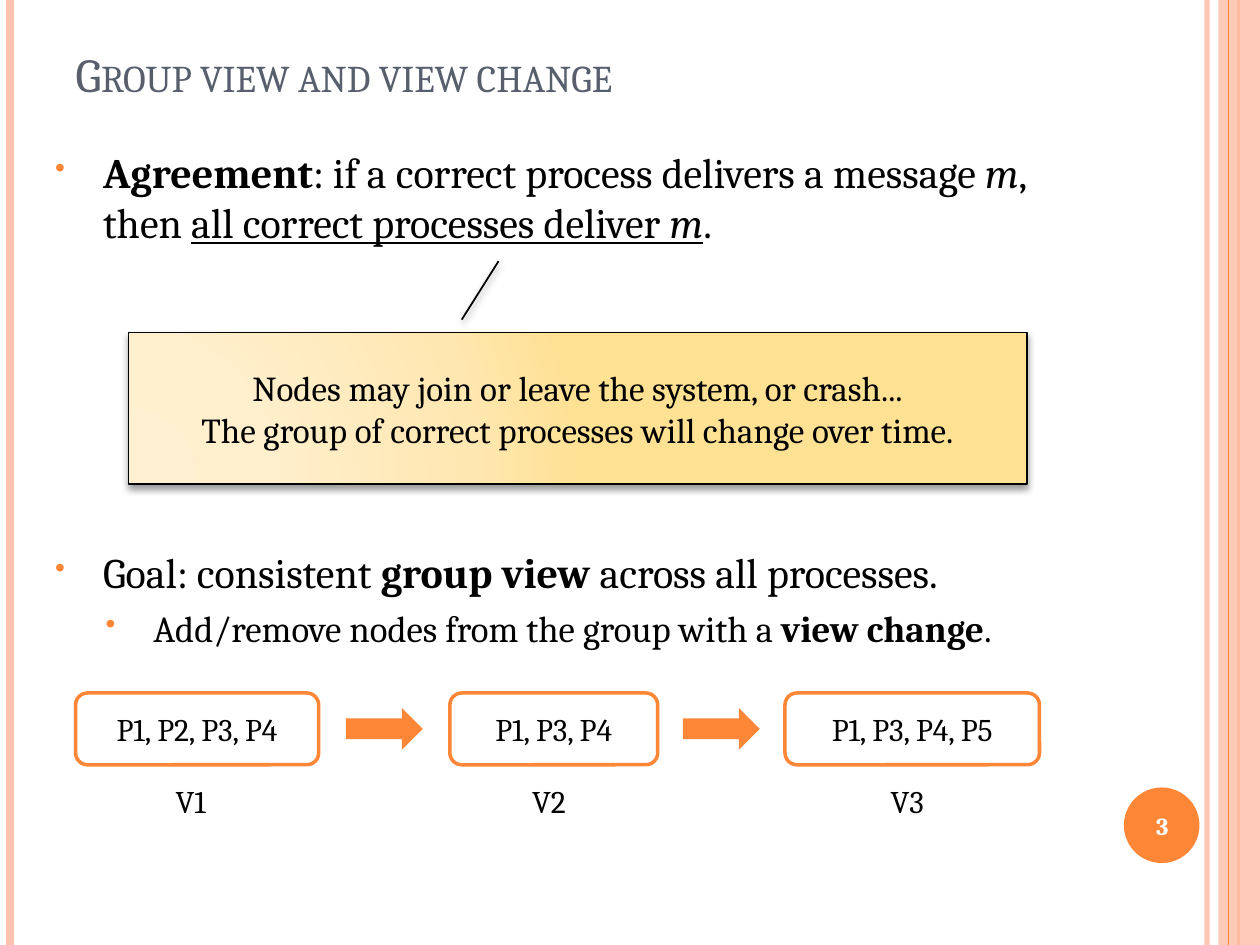
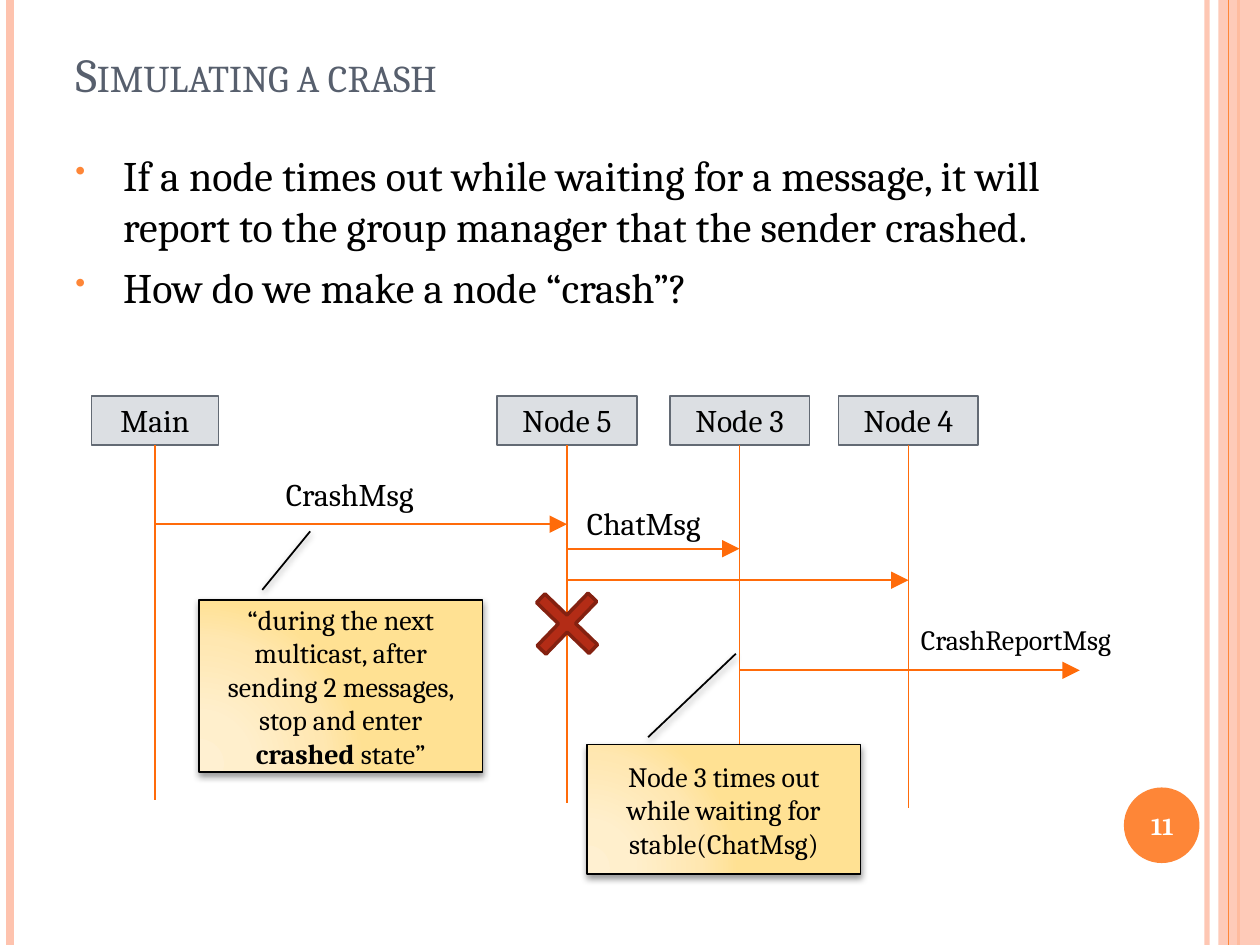
from dataclasses import dataclass

from lxml.etree import SubElement
from pptx import Presentation
from pptx.dml.color import RGBColor
from pptx.enum.shapes import MSO_CONNECTOR, MSO_SHAPE
from pptx.enum.text import MSO_ANCHOR, MSO_AUTO_SIZE, PP_ALIGN
from pptx.oxml.ns import qn
from pptx.util import Inches, Pt

COLUMNS, ROWS = 100, 75
TITLE_ONLY = 5
BOTTOM, TOP = 2, 0


@dataclass(frozen=True)
class Theme:
    font: str = "Cambria"
    ink: str = "000000"
    paper: str = "FFFFFF"
    heading: str = "575F6D"
    accent: str = "FE8637"
    band: str = "FEC3AE"
    signal: str = "FF6B0A"
    header_fill: str = "DCDFE3"
    header_line: str = "636A74"
    cross_fill: str = "B32C16"
    cross_line: str = "842110"
    glow: tuple = ((0, "FFF0D1"), (30, "FFEFCC"), (75, "FFE7B1"), (100, "FFE193"))
    title_size: float = 27
    body_sizes: tuple = (24, 21)
    callout_size: float = 20
    label_size: float = 18
    note_size: float = 16
    number_size: float = 14


THEME = Theme()


def add_xml(parent, tag, **attributes):
    return SubElement(parent, qn(tag), {name: str(value) for name, value in attributes.items()})


def set_alpha(shape, percent):
    for color in shape.element.spPr.iter(qn("a:srgbClr")):
        add_xml(color, "a:alpha", val=percent * 1000)


def write_text(frame, paragraphs, size=THEME.label_size, color=THEME.ink, bold=False,
               align=PP_ALIGN.LEFT, anchor=MSO_ANCHOR.TOP, wrap=True, small_caps=False):
    """Fill a frame; a paragraph is a string or a list of strings and (string, "biu" flags)."""
    frame.word_wrap = wrap
    frame.auto_size = MSO_AUTO_SIZE.NONE
    frame.vertical_anchor = anchor
    for index, spans in enumerate(paragraphs):
        para = frame.paragraphs[0] if index == 0 else frame.add_paragraph()
        para.alignment = align
        for item in [spans] if isinstance(spans, str) else spans:
            words, flags = (item, "") if isinstance(item, str) else item
            span = para.add_run()
            span.text = words
            span.font.name = THEME.font
            span.font.size = Pt(size)
            span.font.color.rgb = RGBColor.from_string(color)
            span.font.bold = bold or "b" in flags
            span.font.italic = "i" in flags
            span.font.underline = "u" in flags
            if small_caps:
                span.font.element.set("cap", "small") if hasattr(span.font, "element") \
                    else span._r.get_or_add_rPr().set("cap", "small")


class SlideBuilder:
    """Draws on the current slide; places and sizes are grid columns and rows."""

    def __init__(self, deck, theme):
        self.deck, self.theme = deck, theme
        self.column = deck.slide_width / COLUMNS
        self.row = deck.slide_height / ROWS
        self.page = None

    def place(self, left, top, width, height):
        return (round(left * self.column), round(top * self.row),
                round(width * self.column), round(height * self.row))

    def start(self, title, number):
        theme = self.theme
        self.page = self.deck.slides.add_slide(self.deck.slide_layouts[TITLE_ONLY])
        for x, color, width, alpha in ((95.8, theme.band, 3, 93), (0.8, theme.band, 4.5, 100),
                                       (98.3, theme.accent, 1.5, 100)):
            set_alpha(self.line((x, 0), (x, ROWS), color, width), alpha)
        band = self.shape(MSO_SHAPE.RECTANGLE, (96.7, 0, 3.3, ROWS), theme.band)
        set_alpha(band, 87)
        self.line((97.5, 0), (97.5, ROWS), theme.accent, 0.75)
        self.shape(MSO_SHAPE.OVAL, (89.2, 62.5, 6, 6), theme.accent)
        self.text((88.9, 62.7, 6.7, 5.7), [number], size=theme.number_size, color=theme.paper,
                  bold=True, align=PP_ALIGN.CENTER, anchor=MSO_ANCHOR.MIDDLE)
        heading = self.page.shapes.title
        heading.left, heading.top, heading.width, heading.height = self.place(5, 3, 81.7, 5.6)
        write_text(heading.text_frame, [title], size=theme.title_size, color=theme.heading,
                   anchor=MSO_ANCHOR.BOTTOM, small_caps=True)

    def text(self, area, paragraphs, **format_options):
        box = self.page.shapes.add_textbox(*self.place(*area))
        write_text(box.text_frame, paragraphs, **format_options)
        return box

    def bullets(self, area, items):
        """Items are (level, spans) pairs."""
        box = self.text(area, [spans for _, spans in items])
        for para, (level, _) in zip(box.text_frame.paragraphs, items):
            para.level = level
            para.space_before = Pt((6, 5)[level])
            for span in para.runs:
                span.font.size = Pt(self.theme.body_sizes[level])
            properties = para._p.get_or_add_pPr()
            properties.set("marL", str(Inches((0.38, 0.78)[level])))
            properties.set("indent", str(Inches(-0.38)))
            add_xml(add_xml(properties, "a:buClr"), "a:srgbClr", val=self.theme.accent)
            add_xml(properties, "a:buSzPct", val=(70000, 80000)[level])
            add_xml(properties, "a:buChar", char="•")

    def shape(self, kind, area, fill, line=None, width=1, paragraphs=(), **format_options):
        shape = self.page.shapes.add_shape(kind, *self.place(*area))
        shape.shadow.inherit = False
        shape.fill.solid()
        shape.fill.fore_color.rgb = RGBColor.from_string(fill)
        if line:
            shape.line.color.rgb = RGBColor.from_string(line)
            shape.line.width = Pt(width)
        else:
            shape.line.fill.background()
        write_text(shape.text_frame, paragraphs, align=PP_ALIGN.CENTER,
                   anchor=MSO_ANCHOR.MIDDLE, **format_options)
        return shape

    def callout(self, area, pointer, paragraphs, size):
        """Pointer holds y, x of the line's start and end as shares of the box."""
        shape = self.shape(MSO_SHAPE.LINE_CALLOUT_1, area, self.theme.paper, self.theme.ink,
                           paragraphs=paragraphs, size=size)
        for index, share in enumerate(pointer):
            shape.adjustments[index] = share
        shape.fill.gradient()
        gradient = shape.element.spPr.find(qn("a:gradFill"))
        for child in list(gradient):
            gradient.remove(child)
        stops = add_xml(gradient, "a:gsLst")
        for position, color in self.theme.glow:
            add_xml(add_xml(stops, "a:gs", pos=position * 1000), "a:srgbClr", val=color)
        circle = add_xml(gradient, "a:path", path="circle")
        add_xml(circle, "a:fillToRect", l=5000, t=100000, r=120000, b=10000)
        effects = shape.element.spPr.find(qn("a:effectLst"))
        shadow = add_xml(effects, "a:outerShdw", blurRad=Pt(4), dist=Pt(2), dir=5400000,
                         rotWithShape=0)
        add_xml(add_xml(shadow, "a:srgbClr", val=self.theme.ink), "a:alpha", val=40000)

    def line(self, start, end, color, width=1, arrow=False, origin=None):
        line = self.page.shapes.add_connector(MSO_CONNECTOR.STRAIGHT, *self.place(*start, *end))
        if origin is not None:
            line.begin_connect(origin, BOTTOM)
        line.line.color.rgb = RGBColor.from_string(color)
        line.line.width = Pt(width)
        properties = line.element.spPr
        if arrow:
            add_xml(properties.find(qn("a:ln")), "a:tailEnd", type="triangle", w="lg", len="lg")
        add_xml(properties, "a:effectLst")
        return line


def build_group_view(builder):
    theme = builder.theme
    builder.start("Group view and view change", "3")
    builder.bullets((3.4, 11.1, 81.7, 11.8), [
        (0, [("Agreement", "b"), ": if a correct process delivers a message ", ("m", "i"),
             ", then ", ("all correct processes deliver ", "u"), ("m", "iu"), "."])])
    builder.callout((10.2, 26.4, 71.3, 12), (-0.086, 0.371, -0.473, 0.412),
                    ["Nodes may join or leave the system, or crash...",
                     "The group of correct processes will change over time."],
                    theme.callout_size)
    builder.bullets((3.4, 42.9, 91.3, 13.8), [
        (0, ["Goal: consistent ", ("group view", "b"), " across all processes."]),
        (1, ["Add/remove nodes from the group with a ", ("view change", "b"), "."])])

    views = (("V1", "P1, P2, P3, P4", 6, 19.3), ("V2", "P1, P3, P4", 35.7, 16.5),
             ("V3", "P1, P3, P4, P5", 62.3, 20.2))
    arrow_width, label_width = 6.1, 5.4
    previous_right = None
    for name, members, left, width in views:
        builder.shape(MSO_SHAPE.ROUNDED_RECTANGLE, (left, 55, width, 5.7), theme.paper,
                      theme.accent, 2, [members])
        builder.text((left + (width - label_width) / 2, 61.6, label_width, 4), [name])
        if previous_right is not None:
            middle = (previous_right + left) / 2
            builder.shape(MSO_SHAPE.RIGHT_ARROW,
                          (middle - arrow_width / 2, 56.2, arrow_width, 3.3), theme.accent)
        previous_right = left + width


def build_crash(builder):
    theme = builder.theme
    builder.start("Simulating a crash", "11")
    builder.bullets((5, 11.4, 81.7, 53.3), [
        (0, ["If a node times out while waiting for a message, it will report to the group "
             "manager that the sender crashed."]),
        (0, ["How do we make a node “crash”?"])])

    header_top, header_height = 31.4, 3.9
    lifelines = {"Main": (12.3, 10.1, 63.5), "Node 5": (45, 11.1, 63.7),
                 "Node 3": (58.7, 11.1, 64), "Node 4": (72.1, 11.1, 64.1)}
    for name, (center, width, bottom) in lifelines.items():
        header = builder.shape(MSO_SHAPE.RECTANGLE,
                               (center - width / 2, header_top, width, header_height),
                               theme.header_fill, theme.header_line, paragraphs=[name])
        builder.line((center, header_top + header_height), (center, bottom), theme.signal,
                     origin=header)

    main, node5, node3, node4 = (center for center, _, _ in lifelines.values())
    for sender, receiver, y in ((main, node5, 41.6), (node5, node3, 43.55),
                                (node5, node4, 46.05), (node3, 85.7, 53.2)):
        builder.line((sender, y), (receiver, y), theme.signal, arrow=True)

    builder.text((21.7, 37.2, 13.9, 4), ["CrashMsg"], wrap=False)
    builder.text((45.6, 39.5, 19.1, 4), ["ChatMsg"])
    builder.text((72.1, 48.9, 21.8, 3.7), ["CrashReportMsg"], size=theme.note_size)
    builder.callout((15.8, 47.6, 22.5, 13.7), (-0.057, 0.223, -0.396, 0.392),
                    [["“during the next multicast, after sending 2 messages, stop and enter ",
                      ("crashed", "b"), " state”"]], theme.note_size)
    builder.callout((46.6, 59.1, 21.7, 10.3), (-0.057, 0.223, -0.7, 0.544),
                    ["Node 3 times out while waiting for stable(ChatMsg)"], theme.note_size)
    cross = builder.shape(MSO_SHAPE.CROSS, (42.1, 46.6, 5.8, 5.8), theme.cross_fill,
                          theme.cross_line, 2)
    cross.adjustments[0] = 0.417
    cross.rotation = 44


def main():
    deck = Presentation()
    deck.slide_width, deck.slide_height = Inches(10), Inches(7.5)
    builder = SlideBuilder(deck, THEME)
    build_group_view(builder)
    build_crash(builder)
    deck.save("out.pptx")


if __name__ == "__main__":
    main()
